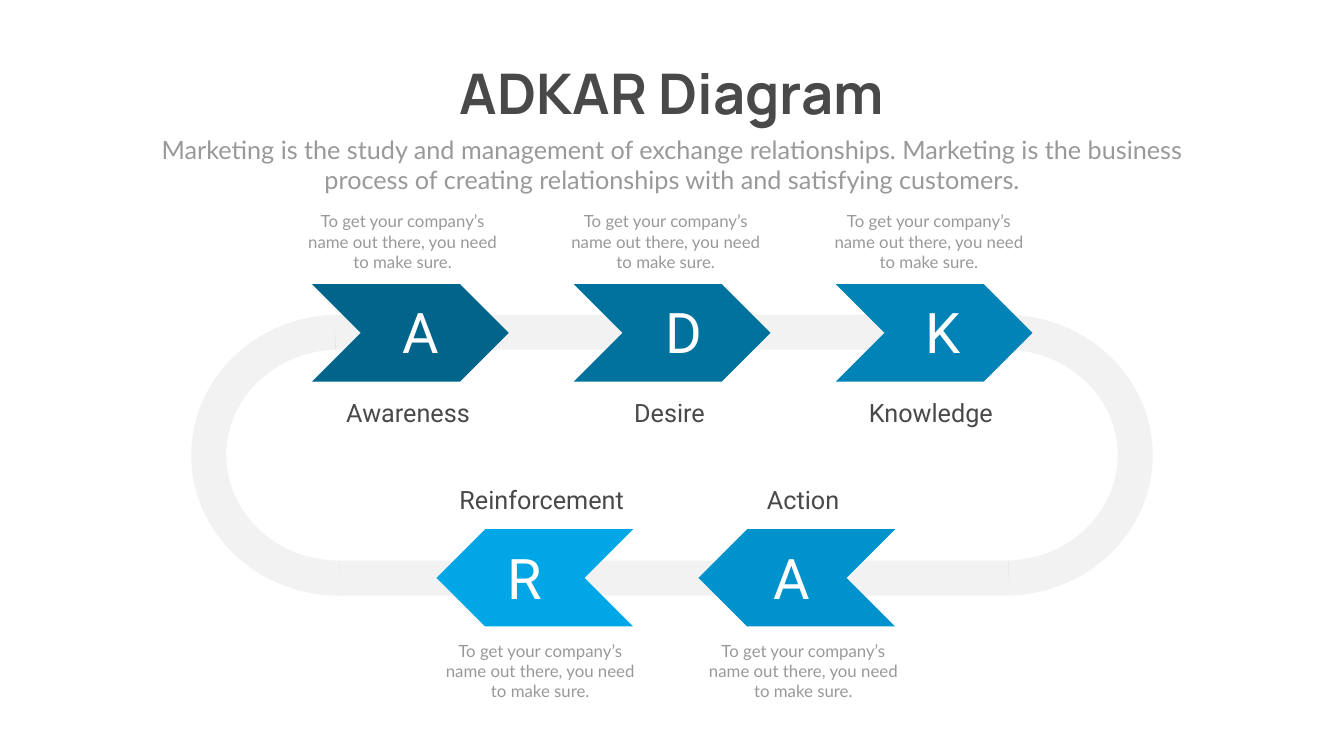
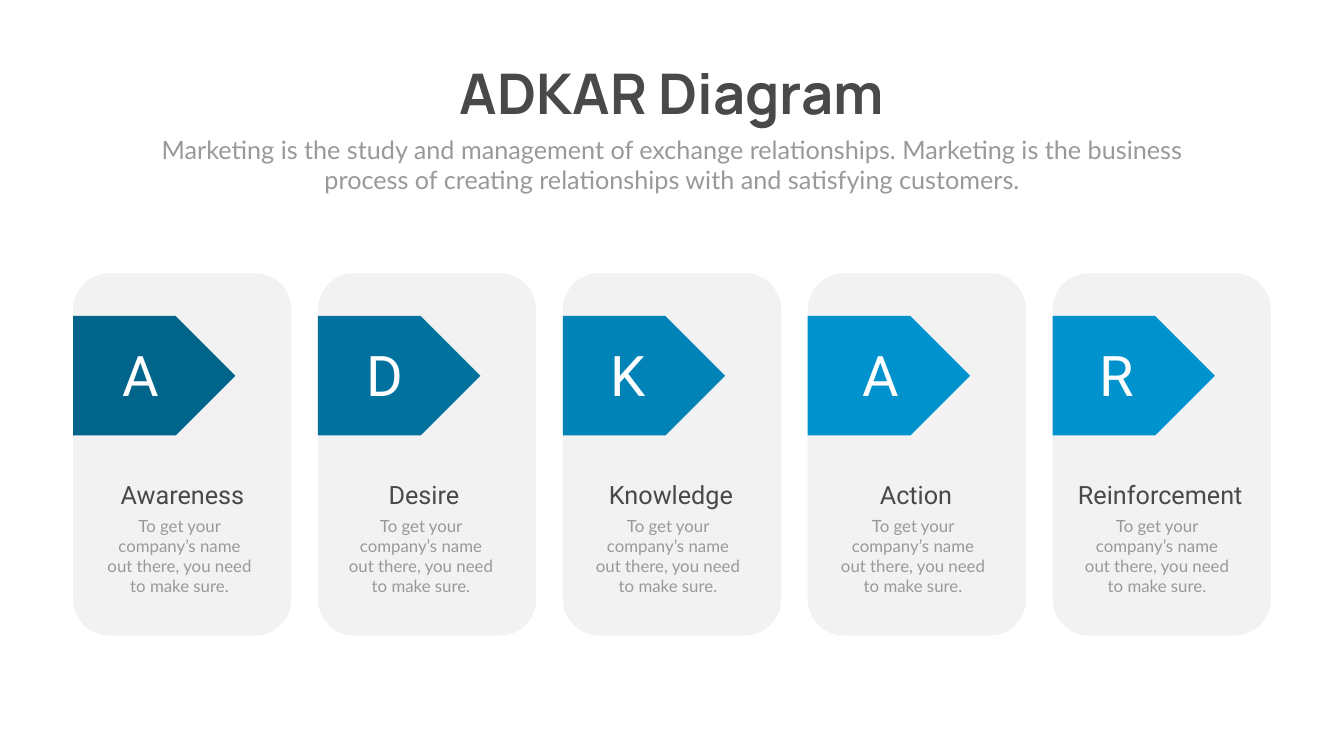
from pptx import Presentation
from pptx import util as u
from pptx.dml.color import RGBColor
from pptx.enum import shapes, text
from pptx.oxml.ns import qn
from lxml import etree

DARK = RGBColor(0x49, 0x49, 0x49)
GRAY = RGBColor(0x99, 0x99, 0x99)
WHITE = RGBColor(0xFF, 0xFF, 0xFF)
FAINT = RGBColor(0x80, 0x80, 0x80)  # drawn at 10 % opacity
BLUE1 = RGBColor(0x00, 0x64, 0x8B)
BLUE2 = RGBColor(0x00, 0x72, 0x9D)
BLUE3 = RGBColor(0x01, 0x83, 0xB7)
BLUE4 = RGBColor(0x00, 0x92, 0xCC)
BLUE5 = RGBColor(0x01, 0xA6, 0xE7)

NOTE = "To get your company’s name out there, you need to make sure."
INTRO = ("Marketing is the study and management of exchange relationships. "
         "Marketing is the business process of creating relationships with "
         "and satisfying customers.")
SHAPE = shapes.MSO_SHAPE


def add_text(s, x, y, w, h, words, size, font, color, bold=False, wrap=True):
    tf = s.shapes.add_textbox(u.Inches(x), u.Inches(y), u.Inches(w), u.Inches(h)).text_frame
    tf.word_wrap = wrap
    tf.auto_size = text.MSO_AUTO_SIZE.SHAPE_TO_FIT_TEXT
    p = tf.paragraphs[0]
    p.alignment = text.PP_ALIGN.CENTER
    r = p.add_run()
    r.text = words
    r.font.size = u.Pt(size)
    r.font.name = font
    r.font.bold = bold
    r.font.color.rgb = color


def add_shape(s, kind, x, y, w, h, fill=None):
    sp = s.shapes.add_shape(kind, u.Inches(x), u.Inches(y), u.Inches(w), u.Inches(h))
    sp.shadow.inherit = False
    sp.line.fill.background()
    if fill is None:
        sp.fill.background()
    else:
        sp.fill.solid()
        sp.fill.fore_color.rgb = fill
    return sp


prs = Presentation()
prs.slide_width = u.Inches(26.66)
prs.slide_height = u.Inches(15)

# Shared heading
for _ in range(2):
    s = prs.slides.add_slide(prs.slide_layouts[6])
    add_text(s, 8.59, 1.12, 9.48, 1.45, "ADKAR Diagram", 80, "Manrope", DARK, True, False)
    add_text(s, 2.92, 2.61, 20.82, 1.31, INTRO, 36, "Lato", GRAY)
loop, cards = prs.slides

# Slide 1: the track, two half circles joined by two straight lines
track = []
for x, turn in [(17.35, 0), (4.14, 180)]:
    sp = add_shape(loop, SHAPE.ARC, x, 6.59, 5.17, 4.88)
    sp.adjustments[0] = 162
    sp.adjustments[1] = 52.94
    sp.rotation = turn
    track.append(sp)
for x, y in [(6.65, 6.59), (6.72, 11.47)]:
    line = loop.shapes.add_connector(shapes.MSO_CONNECTOR.STRAIGHT, u.Inches(x), u.Inches(y),
                                     u.Inches(x + 13.29), u.Inches(y))
    etree.SubElement(line.element.spPr, qn("a:effectLst"))
    track.append(line)
for part in track:
    part.line.color.rgb = FAINT
    part.line.width = u.Pt(50)

# Slide 1: rows of chevrons, the lower one pointing left
# Row: turn, chevron y, letter y, label y, note y, first x of chevron, label and note
top = (0, 5.64, 5.85, 7.84, 4.14, 6.19, 6.28, 5.86)
bottom = (180, 10.5, 10.73, 9.56, 12.66, 8.66, 8.93, 8.59)
steps = [
    (top, 0, "A", 7.63, "Awareness", BLUE1),
    (top, 1, "D", 12.84, "Desire", BLUE2),
    (top, 2, "K", 17.99, "Knowledge", BLUE3),
    (bottom, 1, "A", 14.99, "Action", BLUE4),
    (bottom, 0, "R", 9.68, "Reinforcement", BLUE5),
]
for row, col, letter, letter_x, label, blue in steps:
    turn, arrow_y, letter_y, label_y, note_y, arrow_x, label_x, note_x = row
    sp = add_shape(loop, SHAPE.CHEVRON, arrow_x + 5.195 * col, arrow_y, 3.9, 1.93, blue)
    sp.rotation = turn
    add_text(loop, letter_x, letter_y, 1.45, 1.45, letter, 80, "Roboto", WHITE)
    add_text(loop, label_x + 5.185 * col, label_y, 3.63, 0.71, label, 36, "Roboto", DARK)
    add_text(loop, note_x + 5.22 * col, note_y, 4.25, 1.31, NOTE, 24, "Lato", GRAY)

# Slide 2: five cards; letter x, note x, label x and width
columns = [
    (2.07, 1.99, 1.99, 3.26, BLUE1),
    (6.91, 6.78, 6.78, 3.26, BLUE2),
    (11.73, 11.68, 11.68, 3.26, BLUE3),
    (16.74, 16.54, 16.54, 3.26, BLUE4),
    (21.42, 21.38, 21.09, 3.85, BLUE4),
]
for i, (letter_x, note_x, label_x, label_w, blue) in enumerate(columns):
    x = 1.45 + 4.8575 * i
    letter, label = steps[i][2], steps[i][4]
    add_shape(cards, SHAPE.ROUNDED_RECTANGLE, x, 5.42, 4.33, 7.19, FAINT)
    add_shape(cards, SHAPE.PENTAGON, x, 6.27, 3.22, 2.37, blue)
    add_text(cards, letter_x, 6.7, 1.45, 1.45, letter, 80, "Roboto", WHITE)
    add_text(cards, note_x, 10.18, 3.14, 1.72, NOTE, 24, "Lato", GRAY)
    add_text(cards, label_x, 9.47, label_w, 0.71, label, 36, "Roboto", DARK)

# Transparency of the track and the cards
for s in prs.slides:
    for clr in s.element.iter(qn("a:srgbClr")):
        if clr.get("val") == str(FAINT):
            etree.SubElement(clr, qn("a:alpha")).set("val", "10000")

prs.save("out.pptx")
